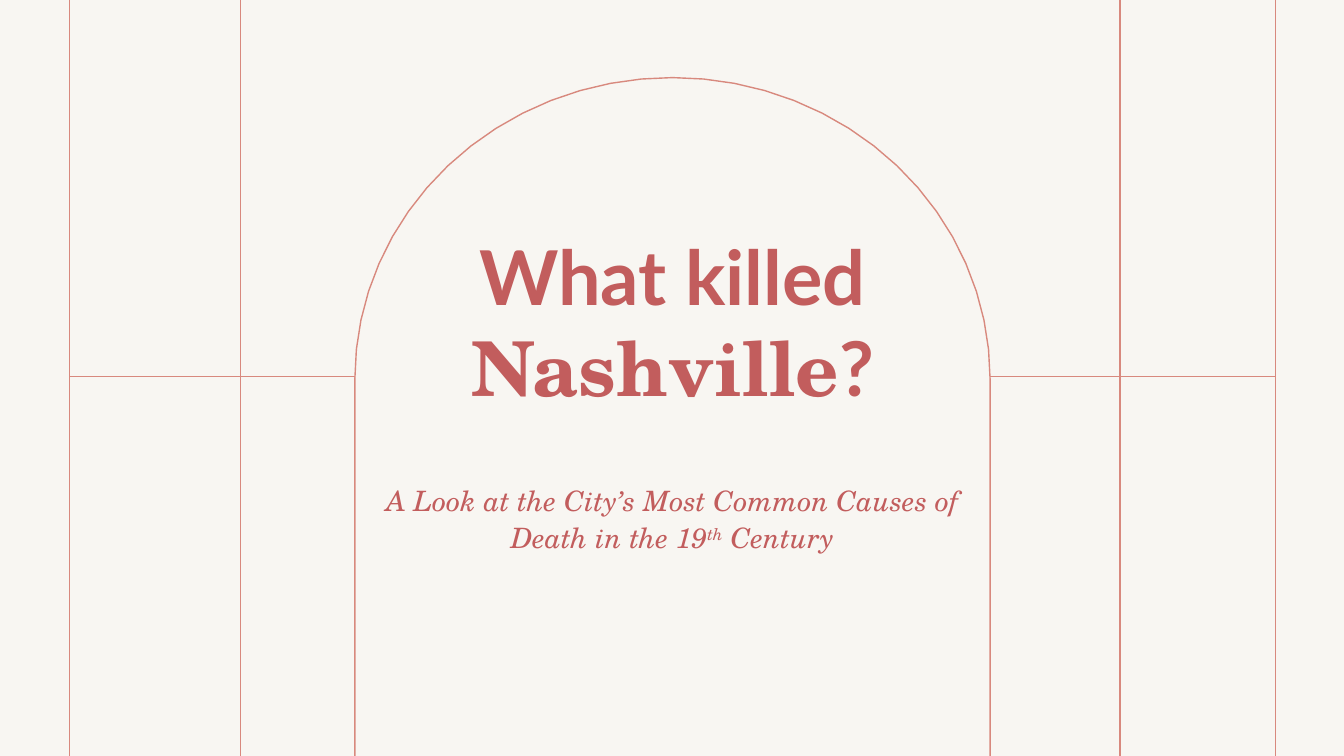
from dataclasses import dataclass
from math import cos, pi, sin

from pptx import Presentation
from pptx.dml.color import RGBColor as RGB
from pptx.enum.shapes import MSO_CONNECTOR as CONN, MSO_SHAPE as SHAPE
from pptx.enum.text import MSO_ANCHOR as ANCHOR, PP_ALIGN as ALIGN
from pptx.oxml.ns import qn
from pptx.util import Inches, Pt
from lxml.etree import SubElement


@dataclass(frozen=True)
class Theme:
    paper: RGB = RGB(0xF8, 0xF6, 0xF2)
    rule: RGB = RGB(0xD8, 0x89, 0x7E)
    ink: RGB = RGB(0xC2, 0x5D, 0x5D)
    sans: str = "Lato"
    serif: str = "TeX Gyre Schola"
    title: int = 54
    subtitle: int = 20
    weight: int = 1


THEME = Theme()
WIDTH, HEIGHT = 13.33, 7.5


def style_line(line):
    line.color.rgb = THEME.rule
    line.width = Pt(THEME.weight)


def add_paper(s, left, top, width, height):
    sp = s.shapes.add_shape(SHAPE.RECTANGLE, *map(Inches, (left, top, width, height)))
    sp.shadow.inherit = False
    sp.fill.solid()
    sp.fill.fore_color.rgb = THEME.paper
    sp.line.fill.background()


def add_rule(s, x1, y1, x2, y2):
    c = s.shapes.add_connector(CONN.STRAIGHT, *map(Inches, (x1, y1, x2, y2)))
    style_line(c.line)
    SubElement(c._element.spPr, qn("a:effectLst"))


def add_side_panel(s, left, top, width, height, uprights):
    middle = top + height * 0.498
    for share in uprights:
        x = left + width * share
        add_rule(s, x, top + height, x, top)
    add_rule(s, left, middle, left + width, middle)


def add_arch(s, left, top, width, height):
    rx, ry = width / 2, height * 0.444
    steps = 32
    angles = [pi * (1 - i / steps) for i in range(steps + 1)]
    curve = [(left + rx + rx * cos(a), top + ry - ry * sin(a)) for a in angles]
    points = [*curve, (left + width, top + height)]
    fb = s.shapes.build_freeform(Inches(left), Inches(top + height), scale=1.0)
    fb.add_line_segments([(Inches(x), Inches(y)) for x, y in points], close=False)
    sp = fb.convert_to_shape()
    sp.shadow.inherit = False
    sp.fill.background()
    style_line(sp.line)


def add_text(s, box, runs, size, anchor, spacing=1.0, bold=False, italic=False):
    tf = s.shapes.add_textbox(*map(Inches, box)).text_frame
    tf.word_wrap = True
    tf.vertical_anchor = anchor
    p = tf.paragraphs[0]
    p.alignment = ALIGN.CENTER
    p.line_spacing = spacing
    for text, font, baseline in runs:
        r = p.add_run()
        r.text = text
        r.font.name = font
        r.font.size = Pt(size)
        r.font.bold = bold
        r.font.italic = italic
        r.font.color.rgb = THEME.ink
        if baseline:
            r._r.get_or_add_rPr().set("baseline", str(baseline * 1000))


def add_heading(s, left, top, width, height):
    title = [("What killed ", THEME.sans, 0), ("Nashville", THEME.serif, 0),
             ("?", THEME.sans, 0)]
    subtitle = [("A Look at the City’s Most Common Causes of Death in the 19", THEME.serif, 0),
                ("th", THEME.serif, 30), (" Century", THEME.serif, 0)]
    add_text(s, (left, top, width, height * 0.9), title,
             THEME.title, ANCHOR.TOP, bold=True)
    add_text(s, (left + width * 0.03, top + height * 0.725, width * 0.94, height * 0.278),
             subtitle, THEME.subtitle, ANCHOR.BOTTOM, spacing=1.1, italic=True)


def add_title_slide(prs):
    s = prs.slides.add_slide(prs.slide_layouts[6])
    add_paper(s, 0, 0, WIDTH, HEIGHT)
    margin, arch_left, arch_width = 0.69, 3.52, 6.3
    side = arch_left - margin
    add_side_panel(s, margin, 0, side, HEIGHT, uprights=(0, 0.6))
    add_side_panel(s, arch_left + arch_width, 0, side, HEIGHT, uprights=(0.455, 1))
    add_arch(s, arch_left, 0.77, arch_width, HEIGHT - 0.77)
    add_heading(s, 3.41, 2.23, 6.52, 3.31)


def main():
    prs = Presentation()
    prs.slide_width, prs.slide_height = Inches(WIDTH), Inches(HEIGHT)
    add_title_slide(prs)
    prs.save("out.pptx")


if __name__ == "__main__":
    main()
